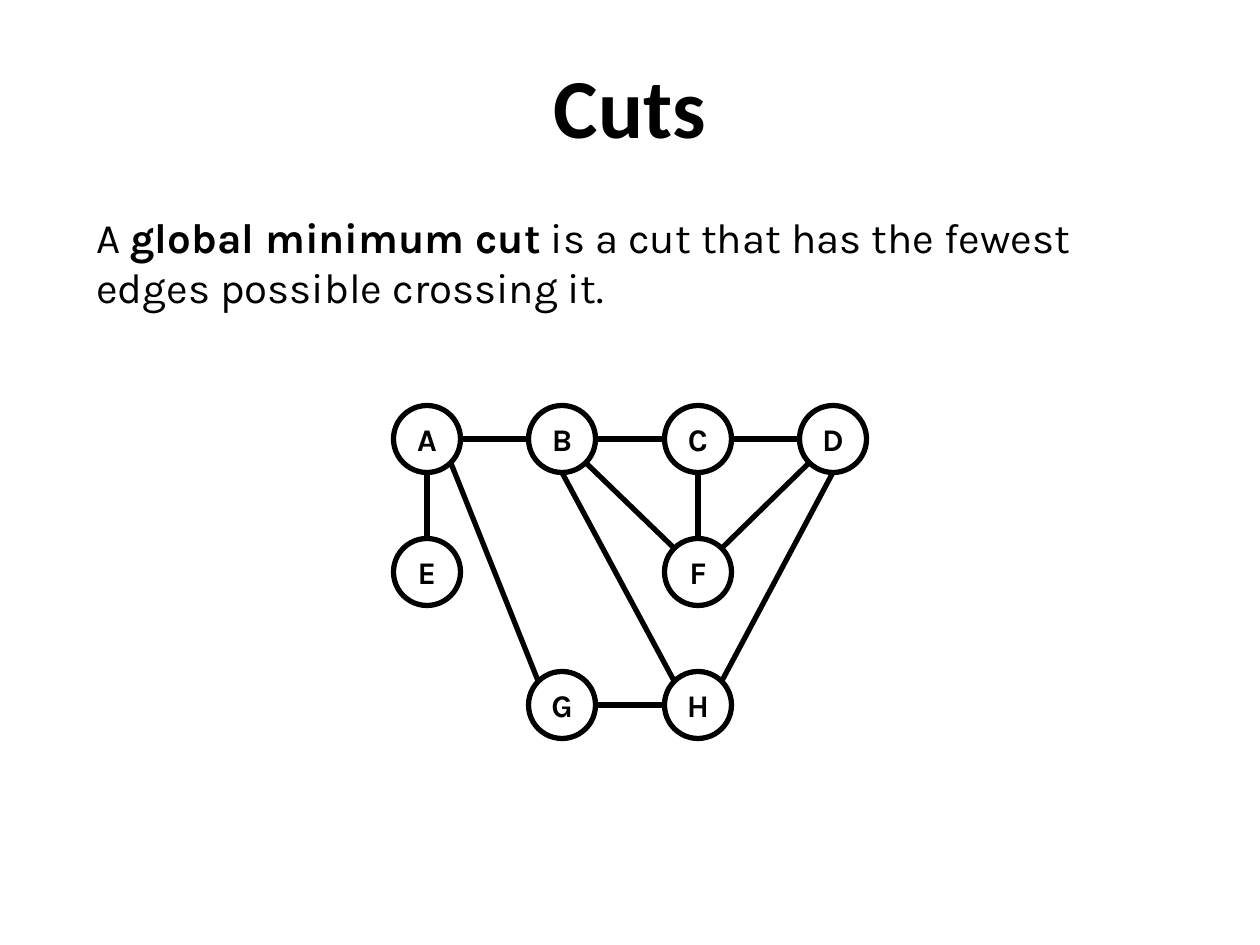
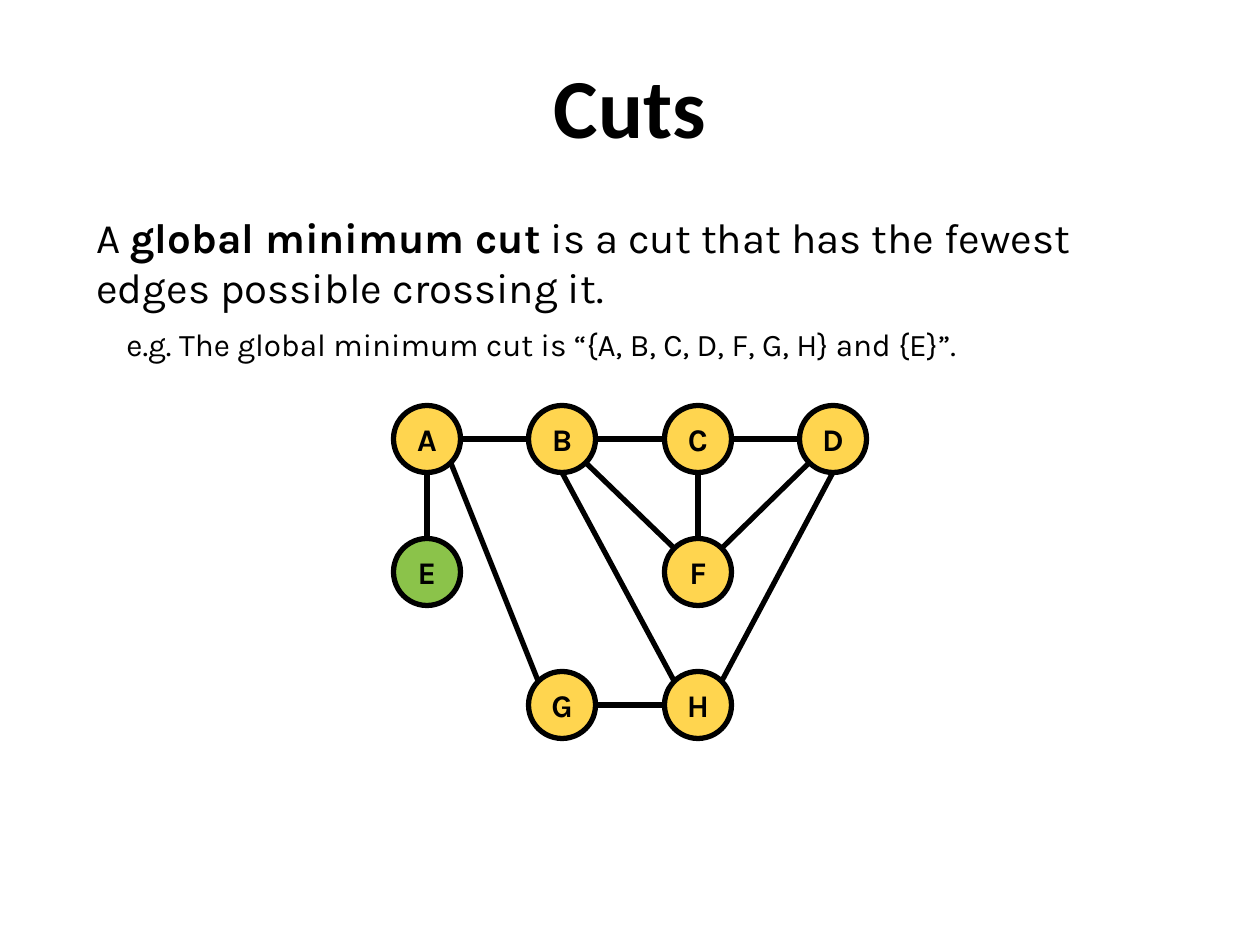
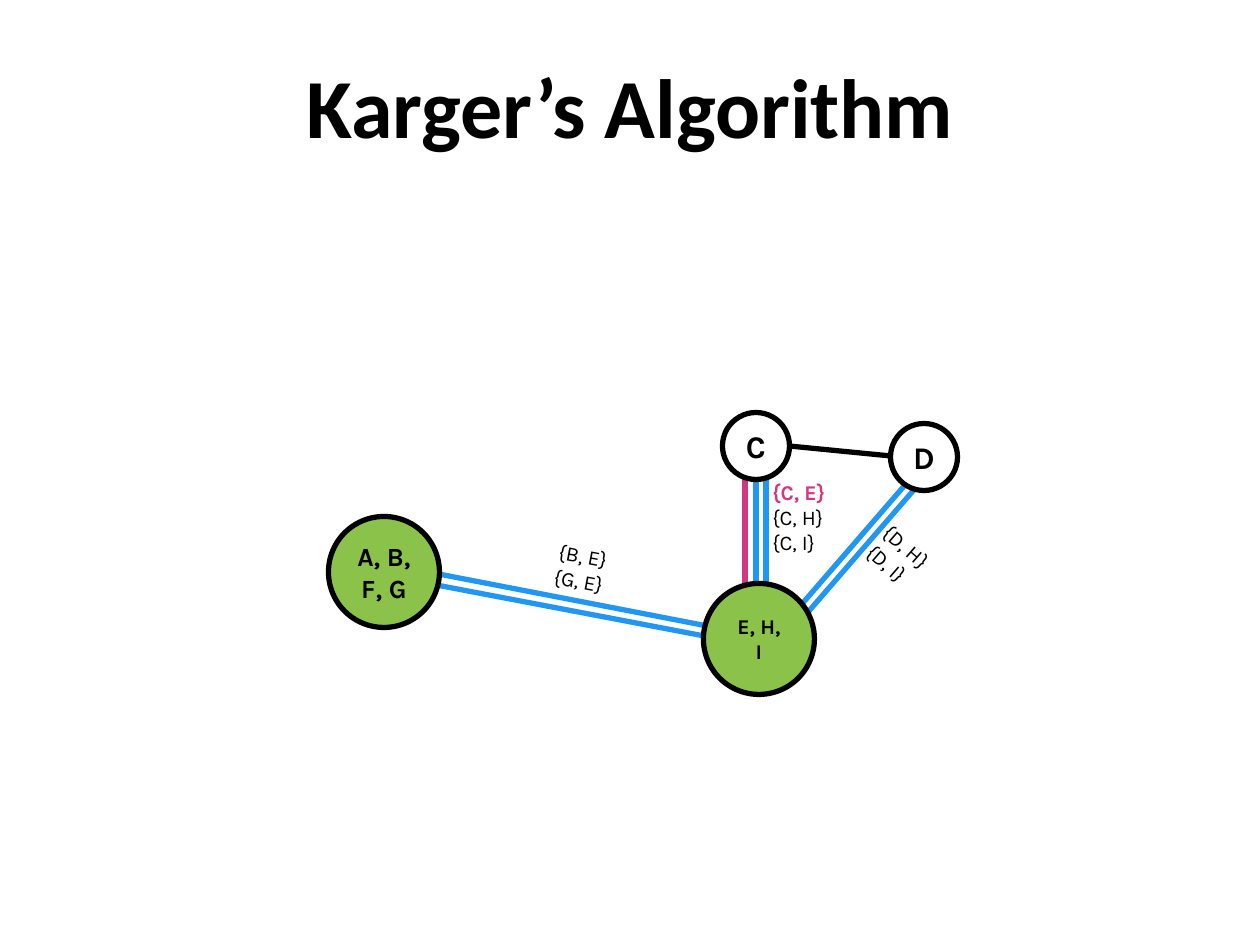
from lxml import etree
from pptx import Presentation
from pptx.dml.color import RGBColor
from pptx.enum.shapes import MSO_CONNECTOR, MSO_SHAPE
from pptx.enum.text import MSO_ANCHOR, PP_ALIGN
from pptx.oxml.ns import qn
from pptx.util import Emu, Inches, Pt

PX = 914400 // 126
INSET = Inches(0.1)
BLACK = RGBColor(0x00, 0x00, 0x00)
WHITE = RGBColor(0xFF, 0xFF, 0xFF)
YELLOW = RGBColor(0xFF, 0xD5, 0x4F)
GREEN = RGBColor(0x8B, 0xC3, 0x4A)
BLUE = RGBColor(0x21, 0x96, 0xF3)
PINK = RGBColor(0xD3, 0x36, 0x82)
HEAD_FONT, BODY_FONT = "Calibri", "Karla"
NODE, MERGED = 67, 111  # circle diameters

# Content: the cut slides
DEFINITION = [("A ", False), ("global minimum cut", True),
              (" is a cut that has the fewest edges possible crossing it.", False)]
EXAMPLE = "e.g. The global minimum cut is “{A, B, C, D, F, G, H} and {E}”."
COLUMNS = (427, 562, 698, 833)
ROWS = (439, 572, 705)
GRID = {"A": (0, 0), "B": (1, 0), "C": (2, 0), "D": (3, 0),
        "E": (0, 1), "F": (2, 1), "G": (1, 2), "H": (2, 2)}
# Each edge: node and side it leaves, node and side it reaches
EDGES = [("A", "E", "B", "W"), ("B", "E", "C", "W"), ("C", "E", "D", "W"),
         ("G", "E", "H", "W"), ("A", "S", "E", "N"), ("C", "S", "F", "N"),
         ("A", "SE", "G", "NW"), ("B", "SE", "F", "NW"), ("B", "S", "H", "NW"),
         ("F", "NE", "D", "SW"), ("H", "NE", "D", "S")]
CUT_SLIDES = [
    dict(example=None, fills={}),
    dict(example=EXAMPLE, fills={n: GREEN if n == "E" else YELLOW for n in GRID}),
]

# Content: the contracted graph
CONTRACTED_EDGES = [
    ((756, 446), (756, 616), BLUE), ((766, 438), (766, 609), BLUE),
    ((745, 446), (745, 616), PINK),
    ((789, 619), (931, 455), BLUE), ((796, 626), (939, 461), BLUE),
    ((410, 580), (741, 643), BLUE), ((397, 566), (728, 630), BLUE),
    ((789, 446), (891, 456), BLACK),
]
CONTRACTED_NODES = [  # lines, centre, diameter, fill, size
    (["A, B,", "F, G"], (384, 572), MERGED, GREEN, 15),
    (["C"], (756, 446), NODE, WHITE, 18),
    (["D"], (924, 457), NODE, WHITE, 18),
    (["E, H, I"], (759, 639), MERGED, GREEN, 12),
]
EDGE_LABELS = [  # lines, box, rotation, anchor, highlighted line
    (["{D, H}", "{D, I}"], (858, 520, 83, 79), 40.9, MSO_ANCHOR.TOP, None),
    (["{C, E}", "{C, H}", "{C, I}"], (760, 467, 83, 121), 0, MSO_ANCHOR.TOP, "{C, E}"),
    (["{B, E}", "{G, E}"], (544, 541, 79, 55), 10.7, MSO_ANCHOR.MIDDLE, None),
]


def px(*values):
    return [Emu(round(v * PX)) for v in values]


def style(p, size, bold=None, color=BLACK, font=BODY_FONT, align=PP_ALIGN.LEFT):
    p.alignment = align
    f = p.font
    f.name, f.size, f.bold = font, Pt(size), bold
    f.color.rgb = color


def frame(s, anchor=MSO_ANCHOR.TOP):
    tf = s.text_frame
    tf.word_wrap = True
    tf.vertical_anchor = anchor
    tf.margin_left = tf.margin_right = tf.margin_top = tf.margin_bottom = INSET
    return tf


def text_box(slide, box, anchor=MSO_ANCHOR.TOP, rotation=0):
    s = slide.shapes.add_textbox(*px(*box))
    s.rotation = rotation
    return frame(s, anchor)


def titled_slide(title):
    slide = prs.slides.add_slide(prs.slide_layouts[6])
    p = text_box(slide, (0, 42, 1260, 157)).paragraphs[0]
    p.text = title
    style(p, 48, True, font=HEAD_FONT, align=PP_ALIGN.CENTER)
    return slide


def edge(slide, start, end, color=BLACK):
    s = slide.shapes.add_connector(MSO_CONNECTOR.STRAIGHT, *px(*start, *end))
    s.line.color.rgb = color
    s.line.width = Pt(3)
    etree.SubElement(s._element.spPr, qn("a:effectLst"))


def node(slide, lines, center, diameter, fill, size):
    x, y = (c - diameter / 2 for c in center)
    s = slide.shapes.add_shape(MSO_SHAPE.OVAL, *px(x, y, diameter, diameter))
    s.shadow.inherit = False
    if fill is None:
        s.fill.background()
    else:
        s.fill.solid()
        s.fill.fore_color.rgb = fill
    s.line.color.rgb = BLACK
    s.line.width = Pt(3)
    tf = frame(s, MSO_ANCHOR.MIDDLE)
    tf.text = "\n".join(lines)
    for p in tf.paragraphs:
        style(p, size, True, align=PP_ALIGN.CENTER)


def grid_center(name):
    col, row = GRID[name]
    return COLUMNS[col], ROWS[row]


def rim(name, side):
    """Point on a node's circle at a compass side."""
    x, y = grid_center(name)
    dx = ("E" in side) - ("W" in side)
    dy = ("S" in side) - ("N" in side)
    reach = NODE / 2 * (0.71 if dx and dy else 1)
    return x + dx * reach, y + dy * reach


prs = Presentation()
prs.slide_width, prs.slide_height = px(1260, 945)

# Cut slides: definition, optional example, graph
for content in CUT_SLIDES:
    slide = titled_slide("Cuts")
    tf = text_box(slide, (84, 199, 1092, 746))
    p = tf.paragraphs[0]
    style(p, 24)
    for text, bold in DEFINITION:
        r = p.add_run()
        r.text, r.font.bold = text, bold
    if content["example"]:
        p = tf.add_paragraph()
        p.text = content["example"]
        style(p, 18)
        p.space_before = Pt(7)
        p._p.get_or_add_pPr().set("marL", str(30 * PX))
    for a, side_a, b, side_b in EDGES:
        edge(slide, rim(a, side_a), rim(b, side_b))
    for name in GRID:
        node(slide, [name], grid_center(name), NODE, content["fills"].get(name), 18)

# Contracted graph
slide = titled_slide("Karger’s Algorithm")
for start, end, color in CONTRACTED_EDGES:
    edge(slide, start, end, color)
for spec_row in CONTRACTED_NODES:
    node(slide, *spec_row)
for lines, box, rotation, anchor, highlight in EDGE_LABELS:
    tf = text_box(slide, box, anchor, rotation)
    tf.text = "\n".join(lines)
    for p in tf.paragraphs:
        marked = p.text == highlight
        style(p, 12, marked, PINK if marked else BLACK)

prs.save("out.pptx")
